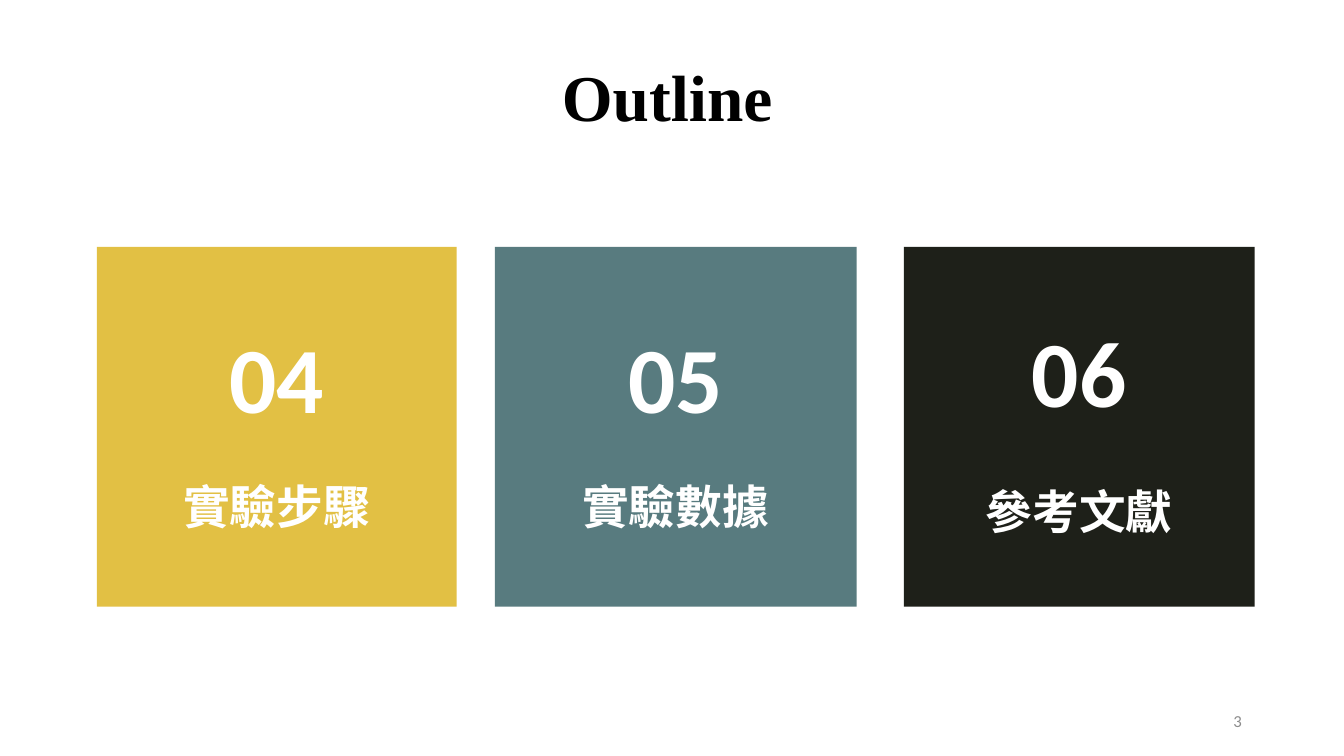
from pptx import Presentation
from pptx.dml.color import RGBColor
from pptx.enum.shapes import MSO_SHAPE
from pptx.enum.text import MSO_ANCHOR, PP_ALIGN
from pptx.util import Cm, Pt

# Content: number, topic, fill, left and width (cm), gap above topic (pt)
HEADING = "Outline"
PAGE_NUMBER = "3"
SECTIONS = [
    ("04", "實驗步驟", "E2C044", 2.44, 9.07, 32.6),
    ("05", "實驗數據", "587B7F", 12.47, 9.12, 32.6),
    ("06", "參考文獻", "1E2019", 22.78, 8.84, 40.6),
]
CARD_TOP, CARD_HEIGHT = 6.22, 9.07

THEME = {
    "heading": dict(font="Times New Roman", size=46.7, color="000000", bold=True),
    "number": dict(font="Calibri", size=66.7, color="FFFFFF", bold=True),
    "topic": dict(font="Calibri", size=33.3, color="FFFFFF", bold=True),
    "page": dict(font="Calibri", size=12, color="8C8C8C", bold=False),
}


def write(paragraph, text, style, align=PP_ALIGN.CENTER):
    look = THEME[style]
    paragraph.alignment = align
    run = paragraph.add_run()
    run.text = text
    run.font.name = look["font"]
    run.font.size = Pt(look["size"])
    run.font.bold = look["bold"]
    run.font.color.rgb = RGBColor.from_string(look["color"])


def middle_frame(shape):
    frame = shape.text_frame
    frame.word_wrap = True
    frame.vertical_anchor = MSO_ANCHOR.MIDDLE
    return frame


deck = Presentation()
deck.slide_width, deck.slide_height = Cm(33.87), Cm(19.05)
slide = deck.slides.add_slide(deck.slide_layouts[6])
shapes = slide.shapes

# Heading
heading_box = shapes.add_textbox(Cm(2.92), Cm(0.76), Cm(27.79), Cm(3.53))
heading = middle_frame(heading_box).paragraphs[0]
heading.line_spacing = 0.9
write(heading, HEADING, "heading")

# Section cards
for number, topic, fill, left, width, gap in SECTIONS:
    card = shapes.add_shape(MSO_SHAPE.RECTANGLE, Cm(left), Cm(CARD_TOP),
                            Cm(width), Cm(CARD_HEIGHT))
    card.shadow.inherit = False
    card.fill.solid()
    card.fill.fore_color.rgb = RGBColor.from_string(fill)
    card.line.fill.background()
    frame = middle_frame(card)
    write(frame.paragraphs[0], number, "number")
    topic_line = frame.add_paragraph()
    topic_line.space_before = Pt(gap)
    write(topic_line, topic, "topic")

# Page number
page_box = shapes.add_textbox(Cm(23.93), Cm(17.65), Cm(7.62), Cm(1.02))
write(middle_frame(page_box).paragraphs[0], PAGE_NUMBER, "page", PP_ALIGN.RIGHT)

deck.save("out.pptx")
